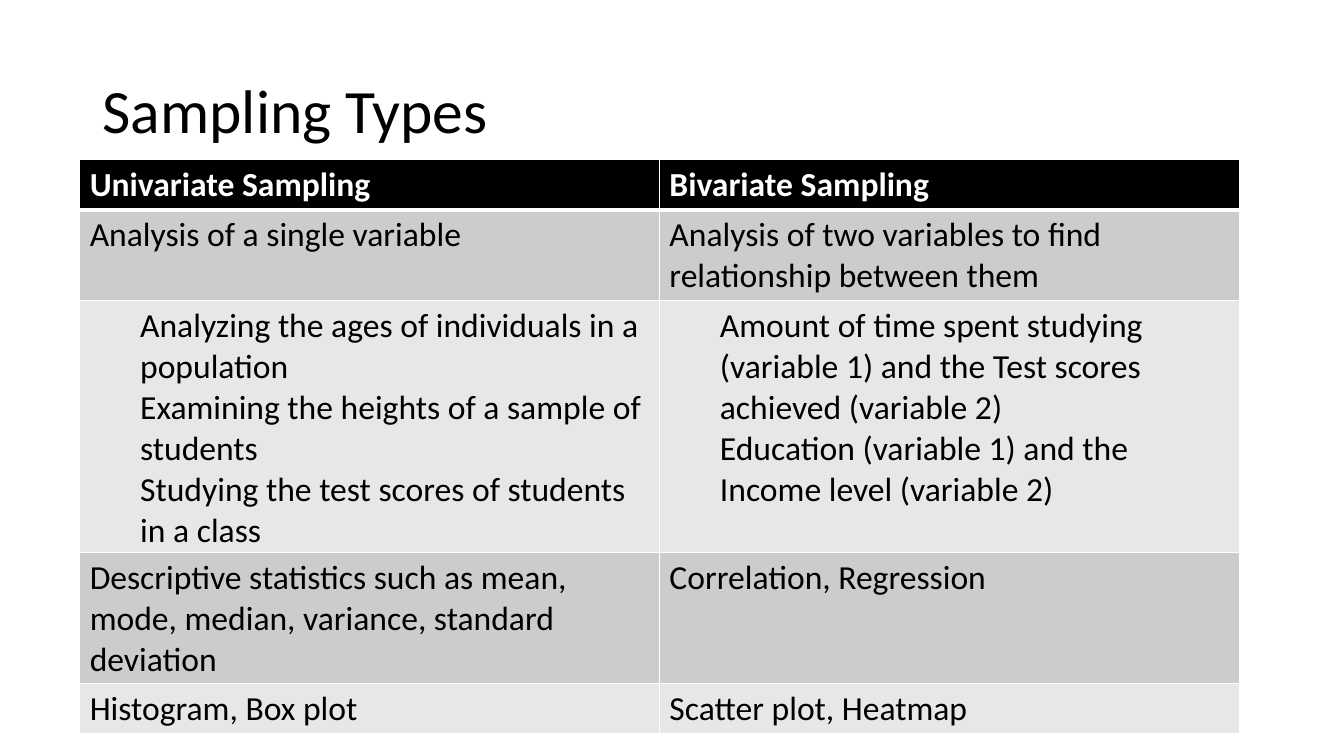
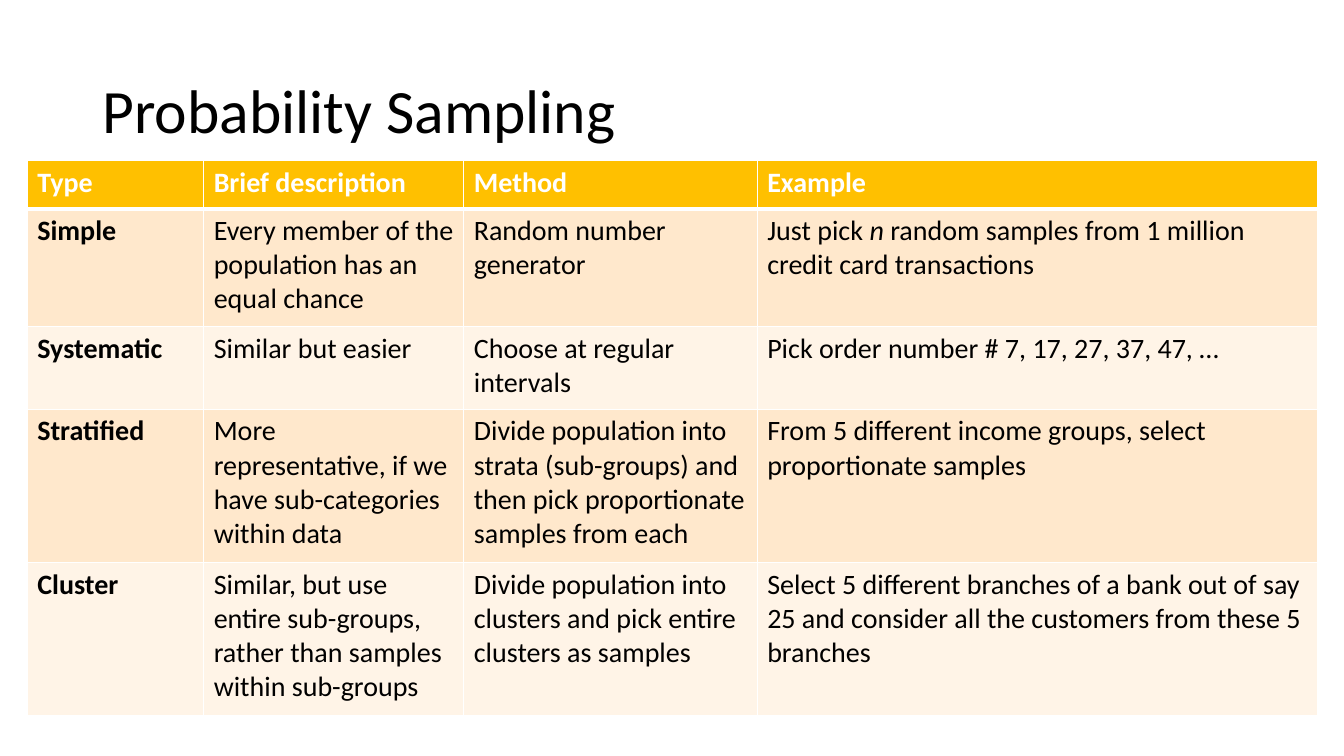
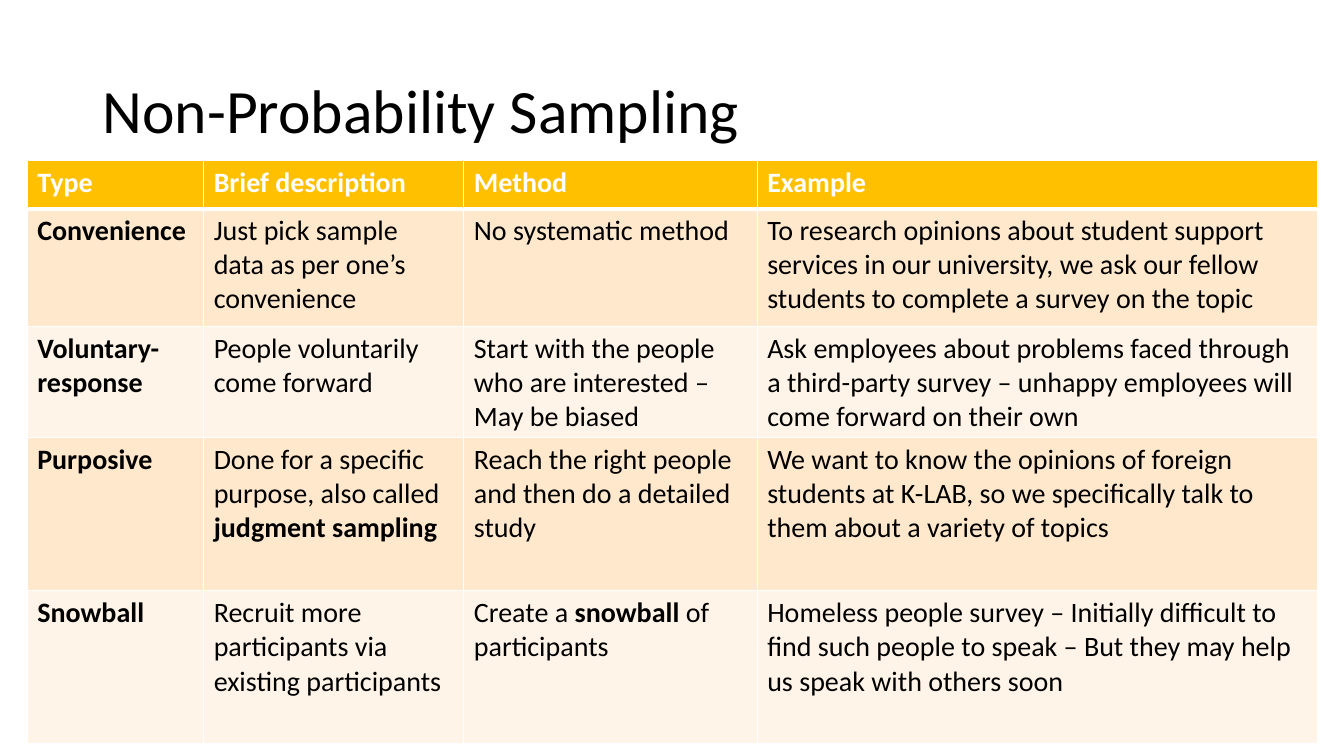
from lxml import etree
from pptx import Presentation
from pptx.dml.color import RGBColor
from pptx.enum import text
from pptx.oxml.ns import qn
from pptx.util import Inches, Pt

FONT = "Calibri"
BLACK = RGBColor(0x00, 0x00, 0x00)
WHITE = RGBColor(0xFF, 0xFF, 0xFF)
GREY = RGBColor(0xCC, 0xCC, 0xCC)
PALE_GREY = RGBColor(0xE7, 0xE7, 0xE7)
GOLD = RGBColor(0xFF, 0xC0, 0x00)
PEACH = RGBColor(0xFF, 0xE8, 0xCC)
PALE_PEACH = RGBColor(0xFF, 0xF4, 0xE7)

# Header fill, then the two alternating row fills
MONO = (BLACK, GREY, PALE_GREY)
AMBER = (GOLD, PEACH, PALE_PEACH)

# A cell is a string, a list of runs (a tuple is a run with its own format),
# or Points: a set of indented paragraphs.
class Points(tuple):
    pass


UNIVARIATE_EXAMPLES = Points((
    "Analyzing the ages of individuals in a population",
    "Examining the heights of a sample of students",
    "Studying the test scores of students in a class",
))
BIVARIATE_EXAMPLES = Points((
    "Amount of time spent studying (variable 1) and the Test scores achieved (variable 2)",
    "Education (variable 1) and the Income level (variable 2)",
))
SAMPLING_TYPES = [
    ["Univariate Sampling", "Bivariate Sampling"],
    ["Analysis of a single variable",
     "Analysis of two variables to find relationship between them"],
    [UNIVARIATE_EXAMPLES, BIVARIATE_EXAMPLES],
    ["Descriptive statistics such as mean, mode, median, variance, standard deviation",
     "Correlation, Regression"],
    ["Histogram, Box plot", "Scatter plot, Heatmap"],
]

METHOD_HEADER = ["Type", "Brief description", "Method", "Example"]
PROBABILITY = [
    METHOD_HEADER,
    ["Simple", "Every member of the population has an equal chance",
     "Random number generator",
     ["Just pick ", ("n ", {"italic": True}),
      "random samples from 1 million credit card transactions"]],
    ["Systematic", "Similar but easier", "Choose at regular intervals",
     "Pick order number # 7, 17, 27, 37, 47, …"],
    ["Stratified", "More representative, if we have sub-categories within data",
     "Divide population into strata (sub-groups) and then pick proportionate samples from each",
     "From 5 different income groups, select proportionate samples"],
    ["Cluster", "Similar, but use entire sub-groups, rather than samples within sub-groups",
     "Divide population into clusters and pick entire clusters as samples",
     "Select 5 different branches of a bank out of say 25 and consider all the "
     "customers from these 5 branches"],
]
NON_PROBABILITY = [
    METHOD_HEADER,
    ["Convenience", "Just pick sample data as per one’s convenience",
     "No systematic method",
     "To research opinions about student support services in our university, "
     "we ask our fellow students to complete a survey on the topic"],
    ["Voluntary-response", "People voluntarily come forward",
     "Start with the people who are interested – May be biased",
     "Ask employees about problems faced through a third-party survey – "
     "unhappy employees will come forward on their own"],
    ["Purposive",
     ["Done for a specific purpose, also called ", ("judgment sampling", {"bold": True})],
     "Reach the right people and then do a detailed study",
     "We want to know the opinions of foreign students at K-LAB, so we "
     "specifically talk to them about a variety of topics"],
    ["Snowball", "Recruit more participants via existing participants",
     ["Create a ", ("snowball ", {"bold": True}), "of participants"],
     "Homeless people survey – Initially difficult to find such people to speak – "
     "But they may help us speak with others soon"],
]
METHOD_COLS = [1.75, 2.58, 2.91, 5.56]


def write(p, content, size=20, color=BLACK, bold=False, indent=0, spacing=None):
    """Fill a paragraph from a string or a list of runs."""
    if indent:
        p._p.get_or_add_pPr().set("marL", str(Inches(indent)))
    if spacing:
        p.line_spacing = spacing
    for part in [content] if isinstance(content, str) else content:
        words, style = (part, {}) if isinstance(part, str) else part
        r = p.add_run()
        r.text = words
        r.font.name, r.font.size = FONT, Pt(size)
        r.font.color.rgb = color
        r.font.bold = style.get("bold", bold)
        r.font.italic = style.get("italic", False)


def add_title(slide, title):
    sp = slide.shapes.add_textbox(Inches(0.92), Inches(0.4), Inches(11.5), Inches(1.45))
    tf = sp.text_frame
    tf.word_wrap = True
    tf.vertical_anchor = text.MSO_ANCHOR.MIDDLE
    write(tf.paragraphs[0], title, size=44, spacing=0.9)


def set_borders(cell, top=1, bottom=1):
    """Draw white cell borders; the lines must come before the fill."""
    tc_pr = cell._tc.get_or_add_tcPr()
    sides = {"a:lnL": 1, "a:lnR": 1, "a:lnT": top, "a:lnB": bottom}
    for i, (tag, width) in enumerate(sides.items()):
        ln = etree.Element(qn(tag), w=str(Pt(width)))
        fill = etree.SubElement(ln, qn("a:solidFill"))
        etree.SubElement(fill, qn("a:srgbClr"), val=str(WHITE))
        tc_pr.insert(i, ln)


def add_cell(cell, content, fill, **fmt):
    cell.fill.solid()
    cell.fill.fore_color.rgb = fill
    tf = cell.text_frame
    if not isinstance(content, Points):
        write(tf.paragraphs[0], content, **fmt)
        return
    for i, point in enumerate(content):
        p = tf.add_paragraph() if i else tf.paragraphs[0]
        write(p, point, indent=0.5, **fmt)


def add_grid(slide, rows, left, top, cols, heights, fills, size, bold_first=False):
    header, *bands = fills
    table = slide.shapes.add_table(
        len(rows), len(cols), Inches(left), Inches(top),
        Inches(sum(cols)), Inches(sum(heights))).table
    for column, width in zip(table.columns, cols):
        column.width = Inches(width)
    for i, (row, height) in enumerate(zip(rows, heights)):
        table.rows[i].height = Inches(height)
        is_head = i == 0
        for j, content in enumerate(row):
            cell = table.cell(i, j)
            add_cell(cell, content, header if is_head else bands[(i - 1) % 2],
                     size=size, color=WHITE if is_head else BLACK,
                     bold=is_head or (bold_first and j == 0))
            set_borders(cell, top=3 if i == 1 else 1, bottom=3 if is_head else 1)


def add_table_slide(prs, title, rows, **grid):
    slide = prs.slides.add_slide(prs.slide_layouts[6])
    add_title(slide, title)
    add_grid(slide, rows, **grid)


def main():
    prs = Presentation()
    prs.slide_width, prs.slide_height = Inches(13.33), Inches(7.5)

    # Comparison of the two sampling types
    add_table_slide(prs, "Sampling Types", SAMPLING_TYPES, left=0.79, top=1.58,
                    cols=[5.75] * 2, heights=[0.5, 0.9, 2.5, 1.3, 0.5],
                    fills=MONO, size=24)

    # Method tables share one layout; only the third row differs in height
    for title, rows, third in (("Probability Sampling", PROBABILITY, 0.82),
                               ("Non-Probability Sampling", NON_PROBABILITY, 1.1)):
        add_table_slide(prs, title, rows, left=0.27, top=1.59, cols=METHOD_COLS,
                        heights=[0.48, 1.17, third, 1.52, 1.52],
                        fills=AMBER, size=20, bold_first=True)

    prs.save("out.pptx")


if __name__ == "__main__":
    main()
